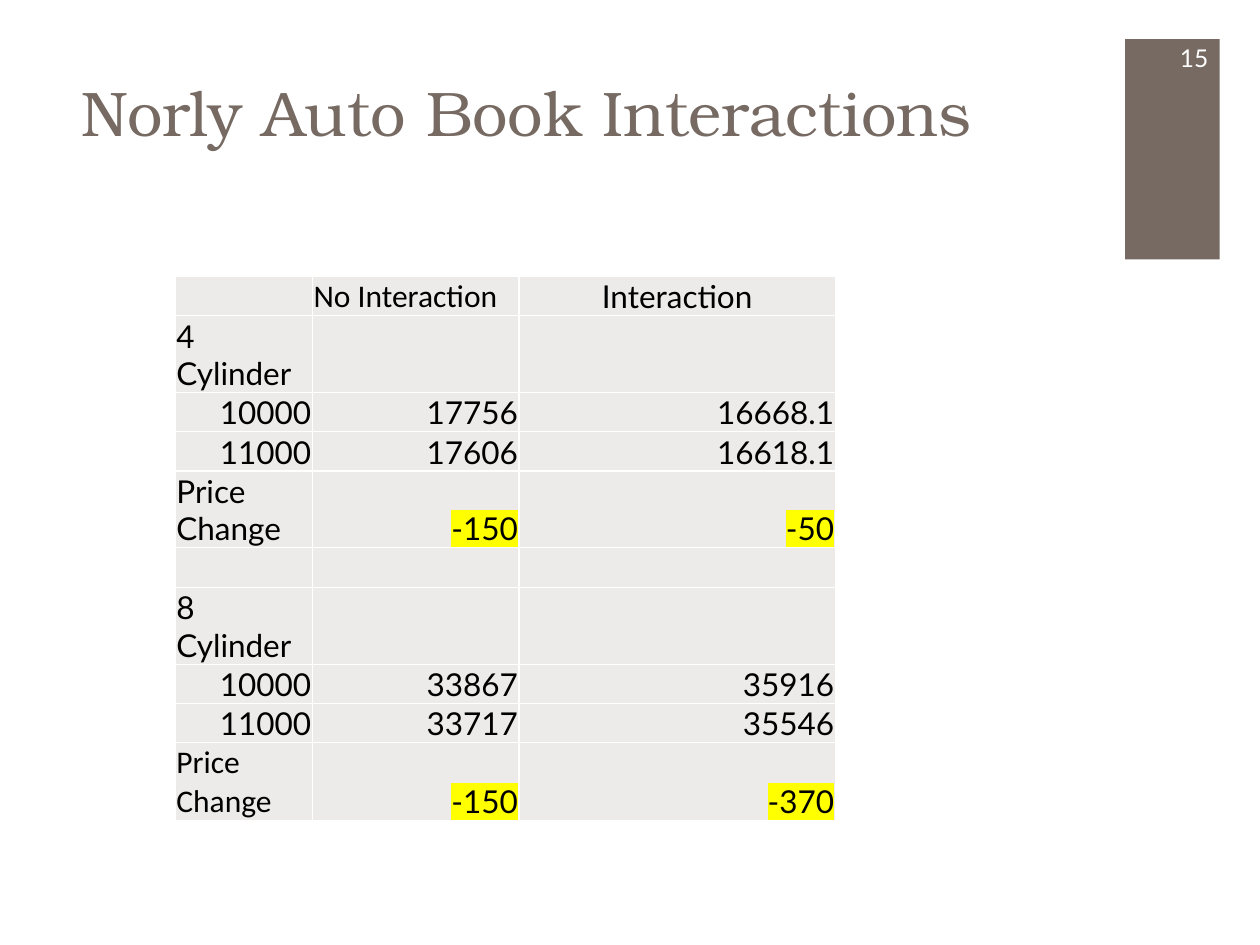
from lxml import etree
from pptx import Presentation
from pptx.dml.color import RGBColor
from pptx.enum import shapes, text
from pptx.oxml import ns
from pptx.util import Inches, Pt


def color(value):
    return RGBColor.from_string(value)


def add_solid_color(parent, tag, value):
    element = etree.SubElement(parent, ns.qn(tag))
    etree.SubElement(element, ns.qn("a:srgbClr"), val=value)
    return element


BROWN, WHITE, BLACK, GREY, YELLOW = "766A62", "FFFFFF", "000000", "ECEBEA", "FFFF00"

deck = Presentation()
deck.slide_width, deck.slide_height = Inches(10), Inches(7.5)
slide = deck.slides.add_slide(deck.slide_layouts[5])

# Brown band at the right
band = slide.shapes.add_shape(
    shapes.MSO_SHAPE.RECTANGLE, Inches(8.93), Inches(0.31), Inches(0.75), Inches(1.75))
band.shadow.inherit = False
band.fill.solid()
band.fill.fore_color.rgb = color(BROWN)
band.line.fill.background()

# Title and page number
heading = slide.shapes.title
heading.left, heading.top = Inches(0.55), Inches(0.53)
heading.width, heading.height = Inches(8.26), Inches(1.22)
page_number = slide.shapes.add_textbox(Inches(9.08), Inches(0.26), Inches(0.61), Inches(0.4))

label_formats = [
    (heading, dict(words="Norly Auto Book Interactions", font="TeX Gyre Bonum", size=36,
                   color=BROWN, align=text.PP_ALIGN.LEFT, anchor=text.MSO_ANCHOR.TOP)),
    (page_number, dict(words="15", font="Lato", size=14, color=WHITE,
                       align=text.PP_ALIGN.RIGHT, anchor=text.MSO_ANCHOR.MIDDLE)),
]
for label, style in label_formats:
    frame = label.text_frame
    frame.word_wrap = True
    frame.auto_size = text.MSO_AUTO_SIZE.NONE
    frame.vertical_anchor = style["anchor"]
    line = frame.paragraphs[0]
    line.alignment = style["align"]
    run = line.add_run()
    run.text = style["words"]
    for attribute, value in {"name": style["font"], "size": Pt(style["size"])}.items():
        setattr(run.font, attribute, value)
    run.font.color.rgb = color(style["color"])

# Price table: mileage against price for each engine
price_rows = [
    ["", "No Interaction", "Interaction"],
    ["4 Cylinder", "", ""],
    ["10000", "17756", "16668.1"],
    ["11000", "17606", "16618.1"],
    ["Price Change", "-150", "-50"],
    ["", "", ""],
    ["8 Cylinder", "", ""],
    ["10000", "33867", "35916"],
    ["11000", "33717", "35546"],
    ["Price Change", "-150", "-370"],
]
column_widths = [1.09, 1.64, 2.51]
calibri_cells = {(0, 1), (9, 0)}

price_frame = slide.shapes.add_table(
    len(price_rows), len(column_widths), Inches(1.39), Inches(2.19), Inches(5.23), Inches(3.68))
prices = price_frame.table
prices.first_row = prices.horz_banding = False
for column, width in zip(prices.columns, column_widths):
    column.width = Inches(width)
for row in prices.rows:
    row.height = Inches(0.25)

cell_format = {
    "margin_left": Inches(0.01), "margin_right": Inches(0.01),
    "margin_top": Inches(0.01), "margin_bottom": 0,
    "vertical_anchor": text.MSO_ANCHOR.BOTTOM,
}
for r, values in enumerate(price_rows):
    for c, value in enumerate(values):
        cell = prices.cell(r, c)
        for attribute, setting in cell_format.items():
            setattr(cell, attribute, setting)

        # White borders come before the fill in the cell properties
        properties = cell._tc.get_or_add_tcPr()
        for side in ("a:lnL", "a:lnR", "a:lnT", "a:lnB"):
            border = etree.SubElement(properties, ns.qn(side), w=str(Pt(1)))
            add_solid_color(border, "a:solidFill", WHITE)
        cell.fill.solid()
        cell.fill.fore_color.rgb = color(GREY)
        if not value:
            continue

        # Numbers align right, the last heading is centred
        line = cell.text_frame.paragraphs[0]
        is_number = value.lstrip("-")[0].isdigit() and "Cylinder" not in value
        if is_number:
            line.alignment = text.PP_ALIGN.RIGHT
        elif value == "Interaction":
            line.alignment = text.PP_ALIGN.CENTER
        run = line.add_run()
        run.text = value
        run.font.size = Pt(18)
        run.font.color.rgb = color(BLACK)

        # Price changes are highlighted
        if value.startswith("-"):
            add_solid_color(run._r.get_or_add_rPr(), "a:highlight", YELLOW)
        run.font.name = "Calibri" if (r, c) in calibri_cells else "Lato"

deck.save("out.pptx")
